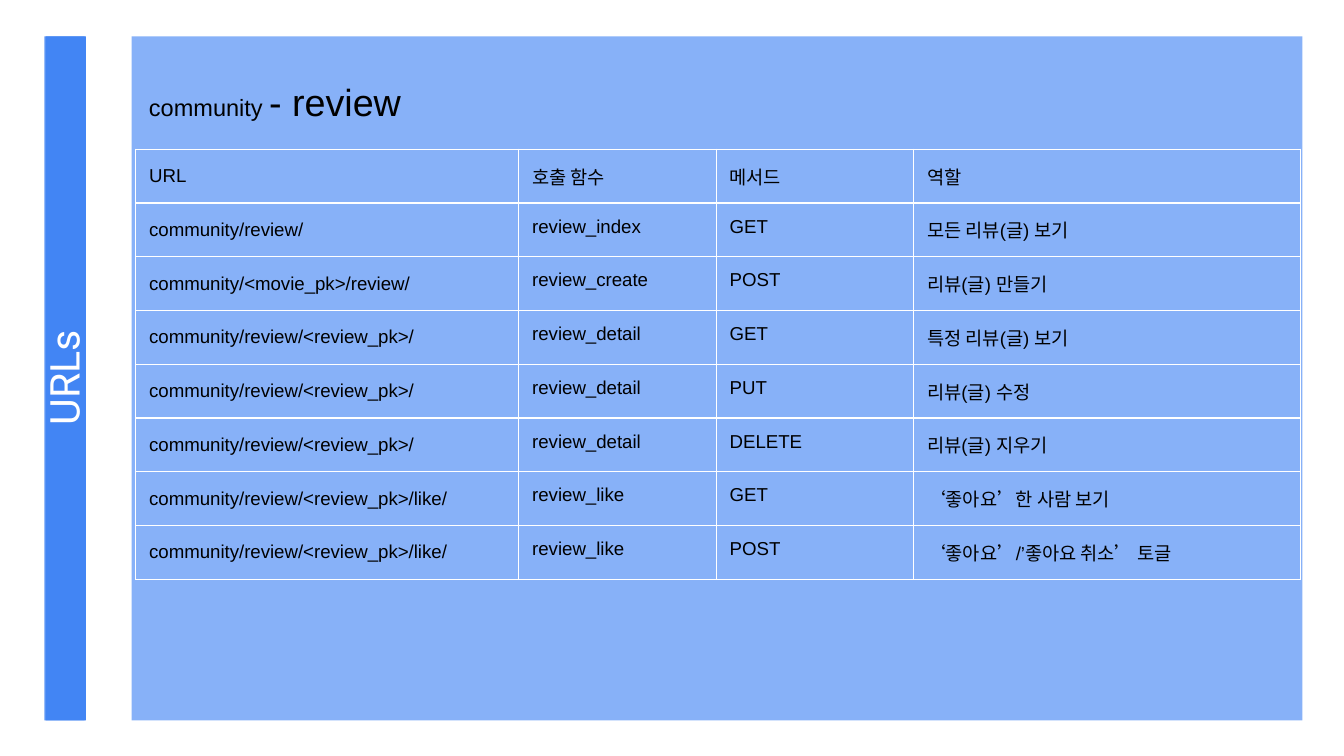
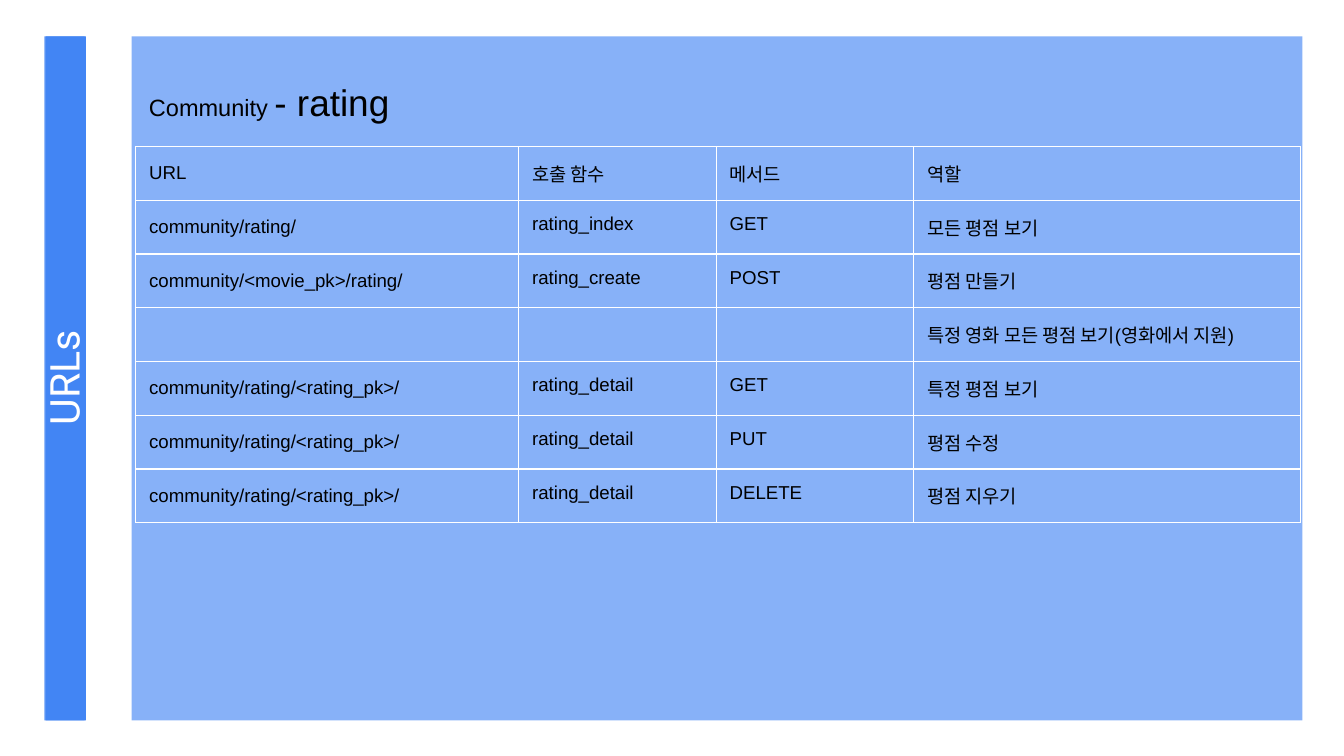
from dataclasses import dataclass
from typing import Any

from lxml.etree import SubElement
from pptx import Presentation
from pptx.dml.color import RGBColor
from pptx.enum.shapes import MSO_SHAPE as Shape
from pptx.enum.text import MSO_ANCHOR as Anchor, PP_ALIGN as Align
from pptx.oxml.ns import qn
from pptx.util import Inches, Pt

BLUE = RGBColor(0x42, 0x85, 0xF4)
WHITE = RGBColor(0xFF, 0xFF, 0xFF)
BLACK = RGBColor(0x00, 0x00, 0x00)

SLIDE_WIDTH = Inches(10)
SLIDE_HEIGHT = SLIDE_WIDTH * 9 // 16

INSET = Inches(0.1)
FRAME_INSETS = {f"margin_{side}": INSET for side in ("left", "top", "right", "bottom")}
TITLE_FRAME = {**FRAME_INSETS, "word_wrap": True, "vertical_anchor": Anchor.TOP}
SECTION_FRAME = {**TITLE_FRAME, "vertical_anchor": Anchor.MIDDLE}
CELL_SIZE = Pt(10)
CELL_FONT = {"name": "Arial", "size": CELL_SIZE, "bold": False}
SECTION_FONT = {"name": "Roboto", "size": Pt(22)}
URL_PARAGRAPH = {"line_spacing": 1.15, "space_after": Pt(12)}
PLAIN_TABLE = {"first_row": False, "horz_banding": False}

COLUMN_WIDTHS = (2.85, 1.47, 1.47, 2.88)
ROW_HEIGHT = 0.4
HEADER = ("URL", "호출 함수", "메서드", "역할")


@dataclass(frozen=True)
class Band:
    """A blue rectangle behind the content."""

    left: float
    width: float
    opacity: int


@dataclass(frozen=True)
class UrlPage:
    """The title and routes of one slide."""

    app: str
    topic: str
    topic_size: float
    table_top: float
    routes: tuple[tuple[str, str, str, str], ...]


BANDS = (Band(0.98, 8.71, 63), Band(0.34, 0.3, 100), Band(0.33, 0.3, 82))

PAGES = (
    UrlPage("community ", "- review", 20.2, 1.11, (
        ("community/review/", "review_index", "GET", "모든 리뷰(글) 보기"),
        ("community/<movie_pk>/review/", "review_create", "POST", "리뷰(글) 만들기"),
        ("community/review/<review_pk>/", "review_detail", "GET", "특정 리뷰(글) 보기"),
        ("community/review/<review_pk>/", "review_detail", "PUT", "리뷰(글) 수정"),
        ("community/review/<review_pk>/", "review_detail", "DELETE", "리뷰(글) 지우기"),
        ("community/review/<review_pk>/like/", "review_like", "GET", "‘좋아요’한 사람 보기"),
        ("community/review/<review_pk>/like/", "review_like", "POST", "‘좋아요’/’좋아요 취소’ 토글"),
    )),
    UrlPage("Community ", "- rating", 19.8, 1.09, (
        ("community/rating/", "rating_index", "GET", "모든 평점 보기"),
        ("community/<movie_pk>/rating/", "rating_create", "POST", "평점 만들기"),
        ("", "", "", "특정 영화 모든 평점 보기(영화에서 지원)"),
        ("community/rating/<rating_pk>/", "rating_detail", "GET", "특정 평점 보기"),
        ("community/rating/<rating_pk>/", "rating_detail", "PUT", "평점 수정"),
        ("community/rating/<rating_pk>/", "rating_detail", "DELETE", "평점 지우기"),
    )),
)


def apply(target: Any, values: dict[str, Any]) -> None:
    """Set each format value on the target."""
    for key, value in values.items():
        setattr(target, key, value)


def add_run(paragraph: Any, text: str, font: dict[str, Any], color: RGBColor) -> None:
    """Append a formatted run."""
    run = paragraph.add_run()
    run.text = text
    apply(run.font, font)
    run.font.color.rgb = color


def add_band(slide: Any, band: Band) -> None:
    """Draw a blue band with its opacity."""
    rect = slide.shapes.add_shape(
        Shape.RECTANGLE, Inches(band.left), Inches(0.27), Inches(band.width), Inches(5.09))
    rect.shadow.inherit = False
    rect.line.fill.background()
    rect.fill.solid()
    rect.fill.fore_color.rgb = BLUE
    if band.opacity < 100:
        color = rect.fill._xPr.find(qn("a:solidFill"))[0]
        SubElement(color, qn("a:alpha"), val=str(band.opacity * 1000))


def add_section(slide: Any) -> None:
    """Write the section name upwards along the side band."""
    section = slide.shapes.add_textbox(Inches(-1.25), Inches(2.42), Inches(3.44), Inches(0.78))
    section.rotation = 270
    apply(section.text_frame, SECTION_FRAME)
    paragraph = section.text_frame.paragraphs[0]
    paragraph.alignment = Align.CENTER
    add_run(paragraph, "URLs", SECTION_FONT, WHITE)


def add_title(slide: Any, page: UrlPage) -> None:
    """Write the app name small and the topic large."""
    title = slide.shapes.add_textbox(Inches(1.01), Inches(0.49), Inches(9.32), Inches(0.63))
    apply(title.text_frame, TITLE_FRAME)
    paragraph = title.text_frame.paragraphs[0]
    for text, size in ((page.app, 12.6), (page.topic, page.topic_size)):
        add_run(paragraph, text, {"name": "Arial", "size": Pt(size)}, BLACK)


def add_borders(cell: Any) -> None:
    """Put the thin white border on all four sides of a cell."""
    properties = cell._tc.get_or_add_tcPr()
    for position, side in enumerate(("lnL", "lnR", "lnT", "lnB")):
        line = SubElement(properties, qn(f"a:{side}"), w=str(Pt(0.75)))
        fill = SubElement(line, qn("a:solidFill"))
        SubElement(fill, qn("a:srgbClr"), val=str(WHITE))
        properties.insert(position, line)


def fill_cell(cell: Any, text: str, is_url: bool) -> None:
    """Format a cell and write its text."""
    apply(cell, FRAME_INSETS)
    cell.fill.background()
    add_borders(cell)
    paragraph = cell.text_frame.paragraphs[0]
    if not text:
        SubElement(paragraph._p, qn("a:endParaRPr"), sz=str(CELL_SIZE.centipoints))
        return
    if is_url:
        apply(paragraph, URL_PARAGRAPH)
    add_run(paragraph, text, CELL_FONT, BLACK)


def add_routes(slide: Any, page: UrlPage) -> None:
    """Draw the table of routes under its header."""
    rows = (HEADER, *page.routes)
    table = slide.shapes.add_table(
        len(rows), len(HEADER), Inches(1.01), Inches(page.table_top),
        Inches(sum(COLUMN_WIDTHS)), Inches(ROW_HEIGHT * len(rows))).table
    apply(table, PLAIN_TABLE)
    for column, width in zip(table.columns, COLUMN_WIDTHS):
        column.width = Inches(width)
    for row, texts in zip(table.rows, rows):
        row.height = Inches(ROW_HEIGHT)
        for index, text in enumerate(texts):
            fill_cell(row.cells[index], text, is_url=index == 0)


def main() -> None:
    """Build and save the deck."""
    deck = Presentation()
    deck.slide_width, deck.slide_height = SLIDE_WIDTH, SLIDE_HEIGHT
    for page in PAGES:
        slide = deck.slides.add_slide(deck.slide_layouts[6])
        for band in BANDS:
            add_band(slide, band)
        add_section(slide)
        add_title(slide, page)
        add_routes(slide, page)
    deck.save("out.pptx")


if __name__ == "__main__":
    main()
